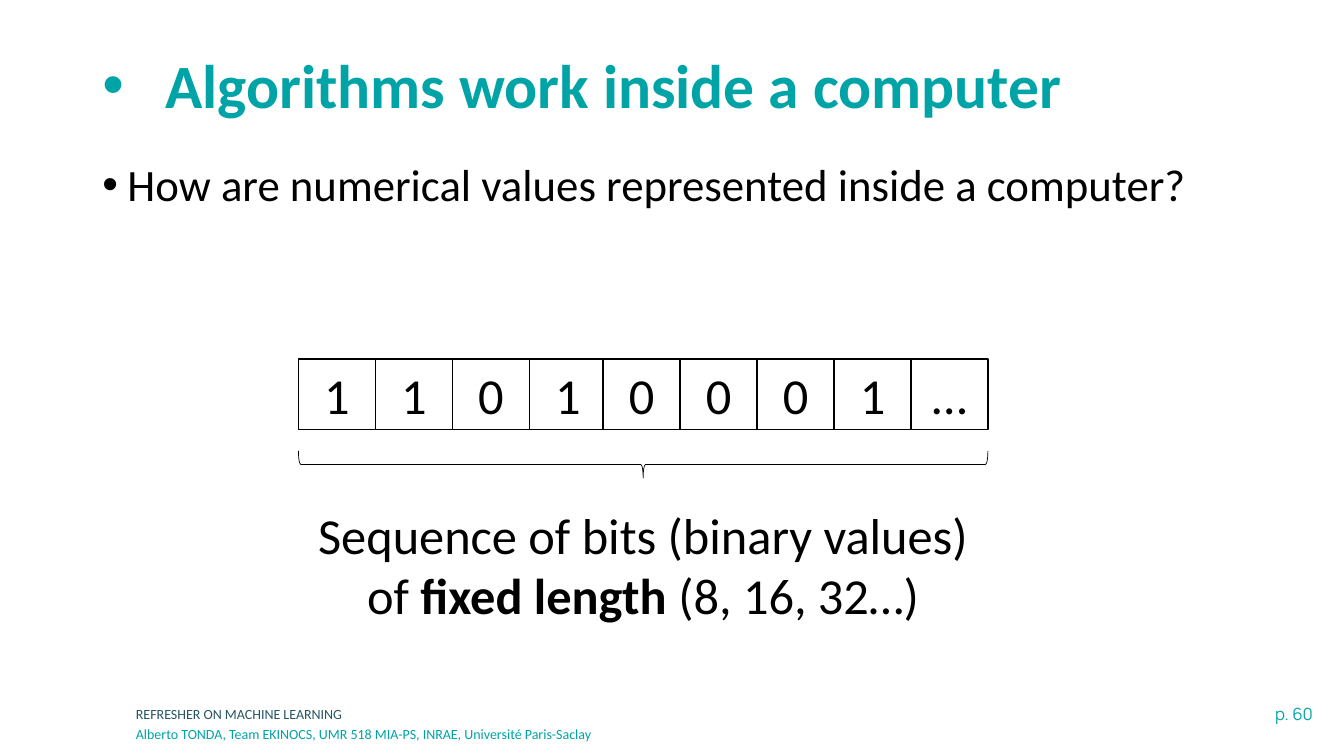
from dataclasses import dataclass

from lxml import etree
from pptx import Presentation
from pptx.dml.color import RGBColor
from pptx.enum.shapes import MSO_SHAPE
from pptx.enum.text import MSO_ANCHOR, MSO_AUTO_SIZE, PP_ALIGN
from pptx.oxml.ns import qn
from pptx.util import Pt

RECT, BRACE = MSO_SHAPE.RECTANGLE, MSO_SHAPE.LEFT_BRACE
TOP, MID = MSO_ANCHOR.TOP, MSO_ANCHOR.MIDDLE
LEFT, CENTER, RIGHT = PP_ALIGN.LEFT, PP_ALIGN.CENTER, PP_ALIGN.RIGHT
FIXED = MSO_AUTO_SIZE.NONE


@dataclass(frozen=True)
class Theme:
    font: str = "Calibri"
    alt: str = "Manrope"
    teal: str = "00A3A6"
    slate: str = "275662"
    ink: str = "000000"
    paper: str = "FFFFFF"
    head: int = 44
    big: int = 36
    body: int = 32
    page: int = 12
    foot: int = 10


class Deck:
    """Draws styled elements on the current slide."""

    def __init__(self, theme):
        self.theme = theme
        self.prs = Presentation()
        self.prs.slide_width, self.prs.slide_height = Pt(960), Pt(540)
        self.slide = self.prs.slides.add_slide(self.prs.slide_layouts[5])

    def fill_text(self, frame, runs, size, color=None, font=None,
                  align=LEFT, anchor=TOP, indent=0):
        frame.word_wrap = True
        frame.auto_size = FIXED
        frame.vertical_anchor = anchor
        para = frame.paragraphs[0]
        para.alignment = align
        if indent:
            props = para._p.get_or_add_pPr()
            props.set("marL", str(Pt(indent)))
            props.set("indent", str(Pt(-indent)))
            face = etree.SubElement(props, qn("a:buFont"))
            face.set("typeface", "Arial")
            etree.SubElement(props, qn("a:buChar")).set("char", "•")
            para.line_spacing = 0.9
        for text, bold in runs:
            run = para.add_run()
            run.text = text
            run.font.name = font or self.theme.font
            run.font.size = Pt(size)
            run.font.bold = bold
            run.font.color.rgb = RGBColor.from_string(color or self.theme.ink)

    def title(self, text, x, y, w, h):
        shape = self.slide.shapes.title
        shape.left, shape.top, shape.width, shape.height = map(Pt, (x, y, w, h))
        self.fill_text(shape.text_frame, [(text, True)], self.theme.head,
                       self.theme.teal, anchor=MID, indent=45)

    def text(self, runs, x, y, w, h, size, **style):
        box = self.slide.shapes.add_textbox(*map(Pt, (x, y, w, h)))
        self.fill_text(box.text_frame, runs, size, **style)

    def shape(self, kind, x, y, w, h, line):
        shape = self.slide.shapes.add_shape(kind, *map(Pt, (x, y, w, h)))
        shape.shadow.inherit = False
        shape.line.color.rgb = RGBColor.from_string(self.theme.ink)
        shape.line.width = Pt(line)
        return shape

    def cell(self, text, x, y, w, h):
        shape = self.shape(RECT, x, y, w, h, 1)
        shape.fill.solid()
        shape.fill.fore_color.rgb = RGBColor.from_string(self.theme.paper)
        self.fill_text(shape.text_frame, [(text, False)], self.theme.big,
                       align=CENTER, anchor=MID)

    def brace(self, x, y, w, h):
        shape = self.shape(BRACE, x + (w - h) / 2, y + (h - w) / 2, h, w, 0.5)
        shape.fill.background()
        shape.rotation = 270


def main():
    theme = Theme()
    deck = Deck(theme)
    deck.text([("p. 60", False)], 781, 499, 164, 22, theme.page,
              color=theme.teal, font=theme.alt, align=RIGHT)
    notes = (("REFRESHER ON MACHINE LEARNING", 500.4, theme.slate),
             ("Alberto TONDA, Team EKINOCS, UMR 518 MIA-PS, INRAE, "
              "Université Paris-Saclay", 514.4, theme.teal))
    for text, y, color in notes:
        deck.text([(text, False)], 90, y, 528, 20, theme.foot, color=color)

    deck.title("Algorithms work inside a computer", 66, 29, 828, 68)
    deck.text([("How are numerical values represented inside a computer?", False)],
              66, 112.5, 828, 368, theme.body, indent=18)

    left, step, half, lap = 213.2, 55, 4, 2.4
    for i, bit in enumerate("11010001…"):
        x = left + i * step - (lap if i >= half else 0)
        deck.cell(bit, x, 256.5, step, 50.5)

    wide = 492.5
    deck.brace(left, 322, wide, 19.5)
    deck.text([("Sequence of bits (binary values) of ", False),
               ("fixed length", True), (" (8, 16, 32…)", False)],
              left, 356.5, wide, 94, theme.big, align=CENTER)
    deck.prs.save("out.pptx")


if __name__ == "__main__":
    main()
